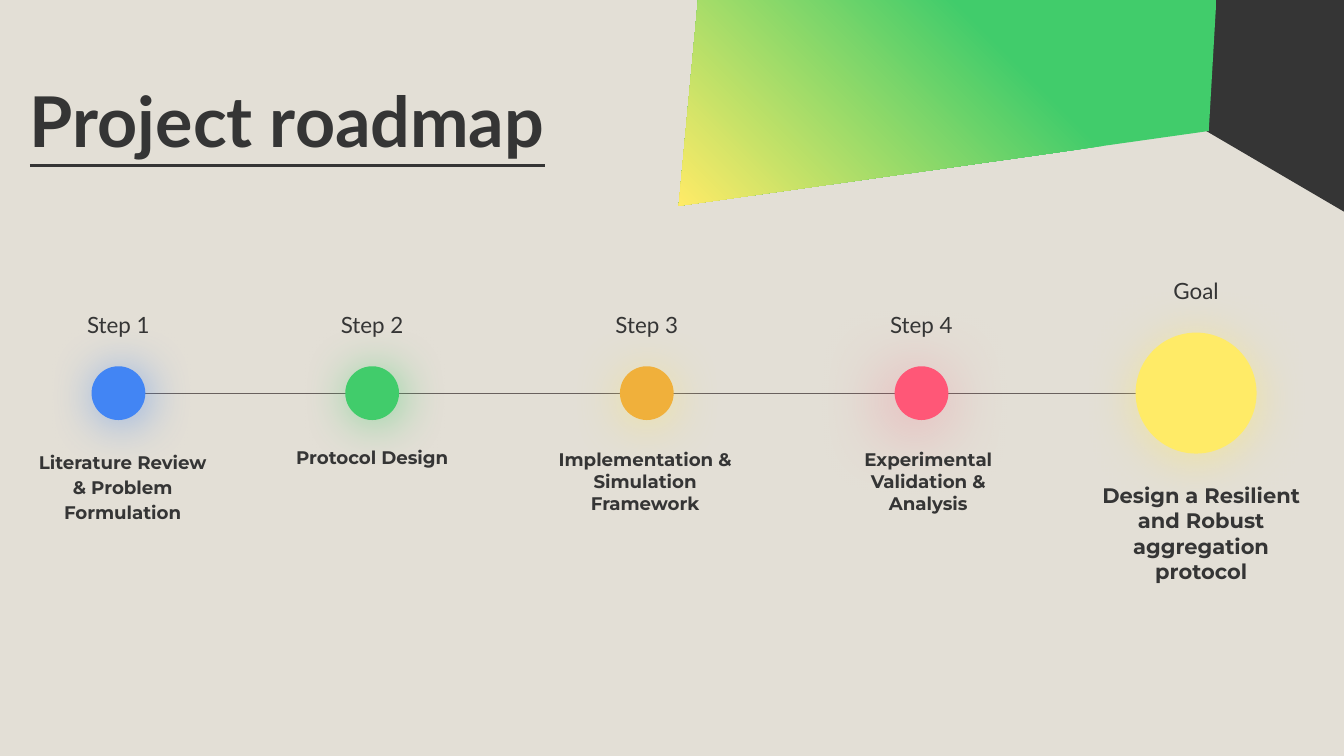
from dataclasses import dataclass

import pptx
import pptx.dml.color
import pptx.enum.shapes
import pptx.enum.text
import pptx.oxml
import pptx.oxml.ns
import pptx.util

RGB = pptx.dml.color.RGBColor
SAND = RGB(0xE3, 0xDF, 0xD6)
CHARCOAL = RGB(0x35, 0x35, 0x35)
TAUPE = RGB(0x69, 0x61, 0x5E)
BLUE = RGB(0x42, 0x85, 0xF4)
GREEN = RGB(0x41, 0xCC, 0x6B)
ORANGE = RGB(0xF0, 0xB0, 0x3B)
PINK = RGB(0xFF, 0x57, 0x77)
YELLOW = RGB(0xFF, 0xEB, 0x67)

# Grid of 160 columns by 90 rows with square cells
CELL = pptx.util.Inches(7.5) / 90
LINE_ROW = 46.8
LABEL_WIDTH, LABEL_HEIGHT = 14.4, 6.4
LEFT = pptx.enum.text.PP_ALIGN.LEFT
CENTER = pptx.enum.text.PP_ALIGN.CENTER


@dataclass(frozen=True)
class Glow:
    color: RGB
    alpha: int
    blur: float
    distance: float
    angle: int


@dataclass(frozen=True)
class Milestone:
    label: str
    caption: str
    center: float
    color: RGB
    glow: Glow
    caption_center: float
    caption_width: float
    spacing: float = 1.0
    diameter: float = 6.4
    label_top: float = 35.5
    caption_top: float = 51.8
    caption_height: float = 18.5
    caption_size: int = 13


GOLDEN_GLOW = Glow(YELLOW, 50, 36, 4, 90)
MILESTONES = [
    Milestone("Step 1", "Literature Review & Problem Formulation", 14.1, BLUE,
              Glow(BLUE, 56, 34.5, 3, 45), 14.6, 24, spacing=1.15),
    Milestone("Step 2", "Protocol Design", 44.3, GREEN,
              Glow(GREEN, 56, 34.5, 3, 45), 44.3, 24),
    Milestone("Step 3", "Implementation & Simulation Framework", 77, ORANGE,
              GOLDEN_GLOW, 76.8, 27.6),
    Milestone("Step 4", "Experimental Validation & Analysis", 109.7, PINK,
              Glow(PINK, 50, 51, 8, 130), 110.5, 26),
    Milestone("Goal", "Design a Resilient and Robust aggregation protocol", 142.4,
              YELLOW, GOLDEN_GLOW, 143, 28.9, diameter=14.4, label_top=31.4,
              caption_top=55.9, caption_height=25.2, caption_size=15),
]


def grid(cells: float) -> int:
    return round(cells * CELL)


def add_polygon(s, points: list[tuple[float, float]], color: RGB):
    corners = [(grid(x), grid(y)) for x, y in points]
    builder = s.shapes.build_freeform(*corners[0])
    builder.add_line_segments(corners[1:], close=True)
    sp = builder.convert_to_shape()
    sp.shadow.inherit = False
    sp.fill.solid()
    sp.fill.fore_color.rgb = color
    sp.line.fill.background()
    return sp


def set_gradient(sp, stops: list[tuple[int, RGB]], angle: int) -> None:
    gs = "".join(f'<a:gs pos="{pos * 1000}"><a:srgbClr val="{color}"/></a:gs>'
                 for pos, color in stops)
    gradient = pptx.oxml.parse_xml(
        f'<a:gradFill {pptx.oxml.ns.nsdecls("a")} rotWithShape="1"><a:gsLst>{gs}</a:gsLst>'
        f'<a:lin ang="{angle * 60000}" scaled="0"/></a:gradFill>')
    props = sp._element.spPr
    props.replace(props.find(pptx.oxml.ns.qn("a:solidFill")), gradient)


def add_text(s, text: str, left: float, top: float, width: float, height: float,
             font: str, size: int, bold: bool = False, underline: bool = False,
             align: pptx.enum.text.PP_ALIGN = CENTER, spacing: float = 1.0) -> None:
    tf = s.shapes.add_textbox(grid(left), grid(top), grid(width), grid(height)).text_frame
    tf.word_wrap = True
    tf.margin_left = tf.margin_right = pptx.util.Inches(0.13)
    tf.margin_top = tf.margin_bottom = pptx.util.Inches(0.13)
    p = tf.paragraphs[0]
    p.text = text
    p.alignment = align
    p.line_spacing = spacing
    p.font.name = font
    p.font.size = pptx.util.Pt(size)
    p.font.bold = bold
    p.font.underline = underline
    p.font.color.rgb = CHARCOAL


def add_dot(s, m: Milestone) -> None:
    sp = s.shapes.add_shape(
        pptx.enum.shapes.MSO_SHAPE.OVAL, grid(m.center - m.diameter / 2),
        grid(LINE_ROW - m.diameter / 2), grid(m.diameter), grid(m.diameter))
    sp.fill.solid()
    sp.fill.fore_color.rgb = m.color
    sp.line.fill.background()
    sp.shadow.inherit = False
    glow = m.glow
    effects = sp._element.spPr.find(pptx.oxml.ns.qn("a:effectLst"))
    effects.append(pptx.oxml.parse_xml(
        f'<a:outerShdw {pptx.oxml.ns.nsdecls("a")} blurRad="{pptx.util.Pt(glow.blur)}" '
        f'dist="{pptx.util.Pt(glow.distance)}" dir="{glow.angle * 60000}" '
        f'algn="bl" rotWithShape="0"><a:srgbClr val="{glow.color}">'
        f'<a:alpha val="{glow.alpha * 1000}"/></a:srgbClr></a:outerShdw>'))


def add_timeline(s, start: float, end: float) -> None:
    line = s.shapes.add_connector(
        pptx.enum.shapes.MSO_CONNECTOR.STRAIGHT,
        grid(start), grid(LINE_ROW), grid(end), grid(LINE_ROW))
    line.line.color.rgb = TAUPE
    line.line.width = pptx.util.Pt(0.75)
    pptx.oxml.ns.qn("a:effectLst")
    line._element.spPr.append(
        pptx.oxml.parse_xml(f'<a:effectLst {pptx.oxml.ns.nsdecls("a")}/>'))


def main() -> None:
    prs = pptx.Presentation()
    prs.slide_width, prs.slide_height = grid(160), grid(90)
    s = prs.slides.add_slide(prs.slide_layouts[6])
    s.background.fill.solid()
    s.background.fill.fore_color.rgb = SAND

    # Corner decoration
    add_polygon(s, [(143.6, 15.6), (160, 25.2), (160, 0), (144.7, 0)], CHARCOAL)
    banner = add_polygon(s, [(83.1, 0), (80.8, 24.5), (143.9, 15.6), (144.8, 0)], GREEN)
    set_gradient(banner, [(0, GREEN), (35, GREEN), (100, YELLOW)], 135)

    # Title
    add_text(s, "Project roadmap", 2, 8.8, 102, 12.4, "Lato", 50,
             bold=True, underline=True, align=LEFT, spacing=0.9)

    # Timeline with its milestones
    add_timeline(s, 12, 146.4)
    for m in MILESTONES:
        add_dot(s, m)
        add_text(s, m.label, m.center - LABEL_WIDTH / 2, m.label_top,
                 LABEL_WIDTH, LABEL_HEIGHT, "Lato", 16)
        add_text(s, m.caption, m.caption_center - m.caption_width / 2, m.caption_top,
                 m.caption_width, m.caption_height, "Montserrat", m.caption_size,
                 bold=True, spacing=m.spacing)

    prs.save("out.pptx")


if __name__ == "__main__":
    main()
